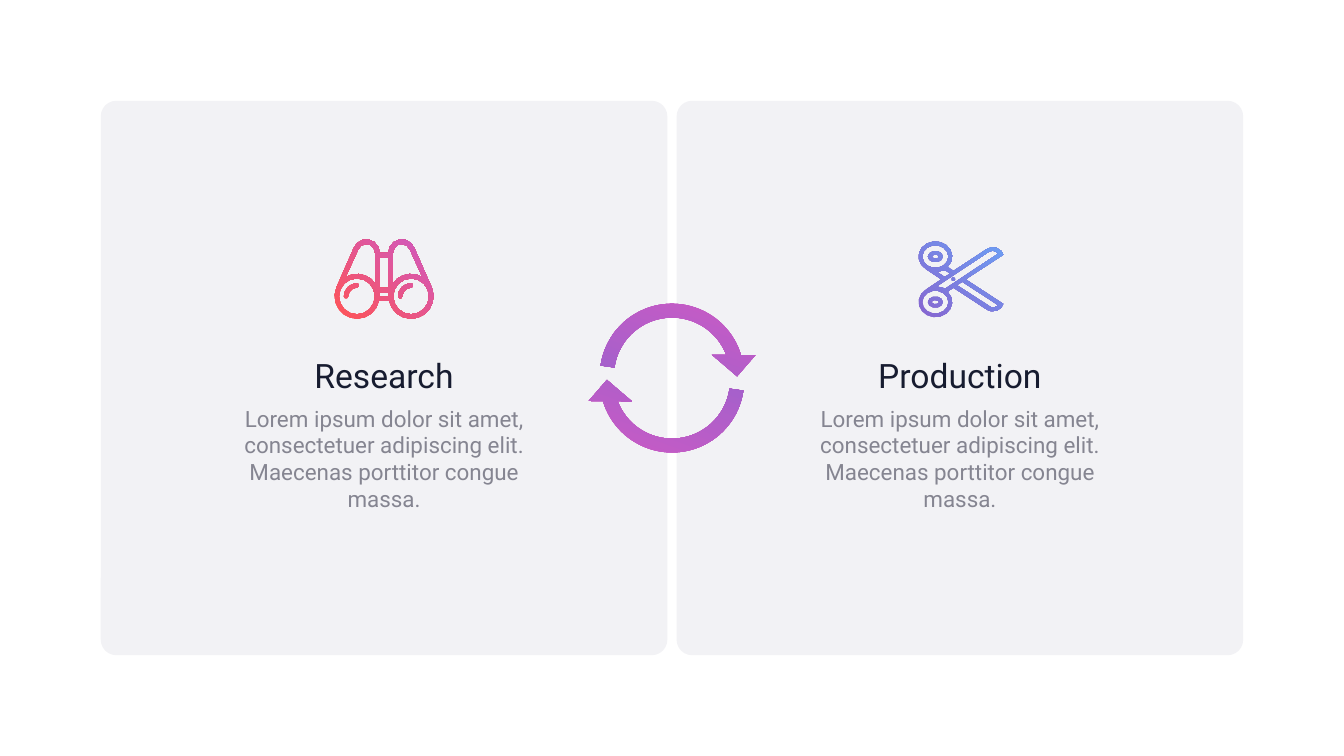
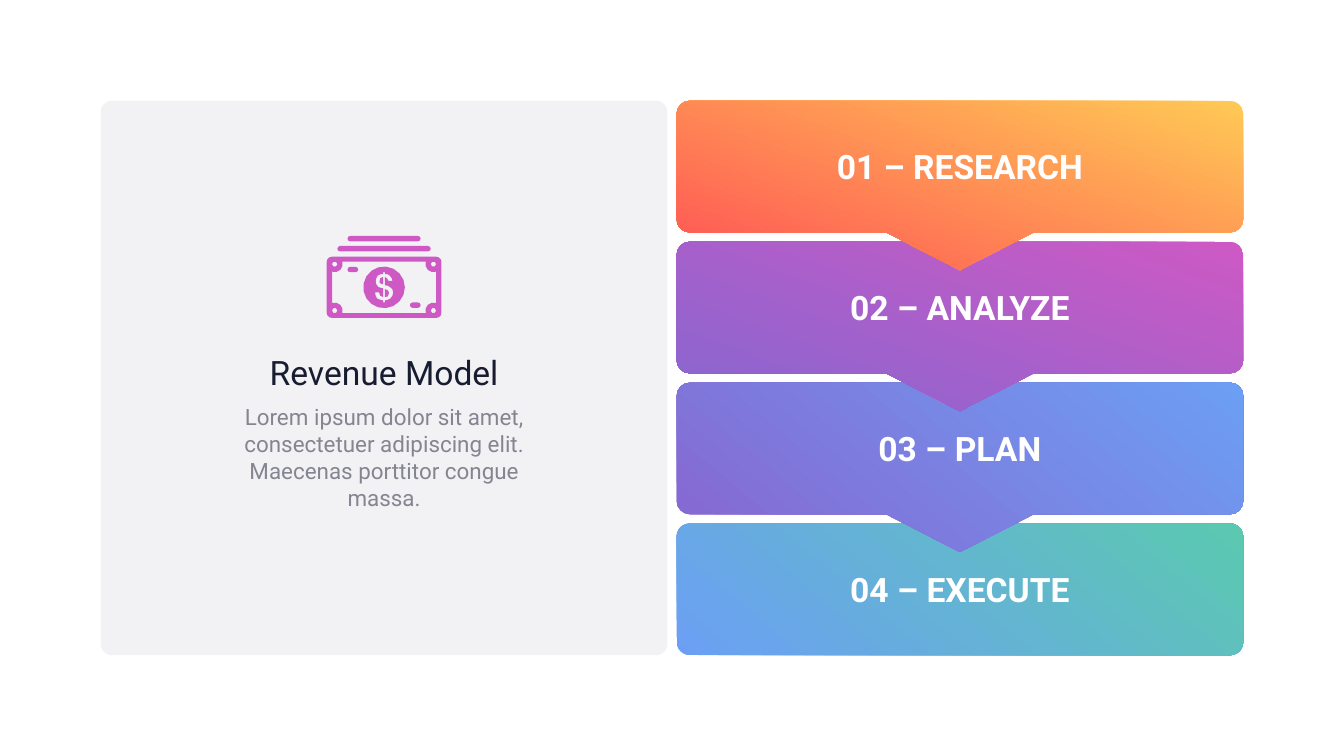
import math
from dataclasses import dataclass
from typing import NamedTuple

import pptx
import pptx.dml.color
import pptx.enum.shapes
import pptx.enum.text
import pptx.util

Pt = pptx.util.Pt
Shapes = pptx.enum.shapes.MSO_SHAPE
Point = tuple[float, float]
Contour = list[Point]


class Paint(NamedTuple):
    """One colour, or a gradient when an end colour is given; angle is counter-clockwise."""
    start: str
    end: str = ""
    angle: float = 50


@dataclass(frozen=True)
class Theme:
    font: str = "Roboto"
    heading_size: float = 36
    body_size: float = 24
    ink: str = "171C30"
    muted: str = "858591"
    white: str = "FFFFFF"
    panel: Paint = Paint("F2F2F5")
    coral: Paint = Paint("FF5355", "CE59C4")
    blue: Paint = Paint("8766D0", "6C9FF4")
    purple: Paint = Paint("CE59C4", "8766D0", 250)
    sunset: Paint = Paint("FFC955", "FF5355", 250)
    teal: Paint = Paint("6C9FF4", "5BC9B0")
    pink: Paint = Paint("CE59C4")


@dataclass(frozen=True)
class Card:
    heading: str
    left: float
    heading_top: float
    body_top: float
    icon: list[Contour]
    icon_left: float
    icon_top: float
    paint: Paint


class Step(NamedTuple):
    label: str
    paint: Paint


THEME = Theme()
SLIDE_WIDTH, SLIDE_HEIGHT = 1440, 810
MARGIN, GAP = 108, 10
PANEL_WIDTH = (SLIDE_WIDTH - 2 * MARGIN - GAP) / 2
PANEL_HEIGHT = SLIDE_HEIGHT - 2 * MARGIN
RIGHT_PANEL = MARGIN + PANEL_WIDTH + GAP
TEXT_WIDTH, HEADING_HEIGHT, BODY_HEIGHT = 330, 51, 124
CORNER = 14
TIP_WIDTH, TIP_HEIGHT = 158, 40.5
STEP_LABEL_OFFSET = 44.6
CURVE_TOLERANCE = 0.4
BODY = "Lorem ipsum dolor sit amet, consectetuer adipiscing elit. Maecenas porttitor congue massa."


def arc(x: float, y: float, rx: float, ry: float, start: float, end: float) -> Contour:
    """Points along an ellipse, as few as the tolerance allows; degrees grow clockwise."""
    stride = 2 * math.degrees(math.acos(1 - CURVE_TOLERANCE / max(rx, ry)))
    count = math.ceil(abs(end - start) / stride)
    angles = [math.radians(start + (end - start) * i / count) for i in range(count + 1)]
    return [(x + rx * math.cos(a), y + ry * math.sin(a)) for a in angles]


def ellipse(x: float, y: float, rx: float, ry: float) -> Contour:
    return arc(x, y, rx, ry, 0, 360)[:-1]


def rectangle(left: float, top: float, right: float, bottom: float) -> Contour:
    return [(left, top), (right, top), (right, bottom), (left, bottom)]


def rounded(left: float, top: float, right: float, bottom: float, radius: float) -> Contour:
    centres = rectangle(left + radius, top + radius, right - radius, bottom - radius)
    return [p for (x, y), start in zip(centres, (180, 270, 0, 90))
            for p in arc(x, y, radius, radius, start, start + 90)]


def flip_x(contour: Contour, axis: float) -> Contour:
    return [(2 * axis - x, y) for x, y in reversed(contour)]


def flip_y(contour: Contour, axis: float) -> Contour:
    return [(x, 2 * axis - y) for x, y in reversed(contour)]


def shift(contour: Contour, dx: float, dy: float) -> Contour:
    return [(x + dx, y + dy) for x, y in contour]


def binoculars() -> list[Contour]:
    axis, lens_x, lens_y, lens = 53, 24, 61, 24
    barrel_x, barrel_y = 34, 14.4
    half = (arc(lens_x, lens_y, lens, lens, 12, 203)
            + arc(barrel_x, barrel_y, 14.4, 14.4, 200, 360))
    barrel_hole = (arc(lens_x, lens_y, lens, lens, 240, 325)
                   + arc(barrel_x, barrel_y, 9.4, 9.4, 360, 200))
    lens_hole = ellipse(lens_x, lens_y, 19.2, 19.2)
    glint = (arc(lens_x, lens_y, 14, 14, 180, 270)
             + arc(lens_x, lens_y - 11.7, 2.3, 2.3, 270, 450)
             + arc(lens_x, lens_y, 9.4, 9.4, 270, 180)
             + arc(lens_x - 11.7, lens_y, 2.3, 2.3, 0, 180))
    return [half + flip_x(half, axis),
            barrel_hole, flip_x(barrel_hole, axis),
            lens_hole, flip_x(lens_hole, axis),
            glint, shift(glint, 2 * (axis - lens_x), 0),
            rectangle(48.2, 19.4, 57.6, 52), rectangle(48.2, 57, 57.6, 61)]


def scissors() -> list[Contour]:
    axis, x, y = 42.8, 20.2, 18.4
    half = ([(52.6, axis), (92.9, 16.5), (91, 12.5), (86, 9.2), (80, 8.6), (76, 10),
             (39.6, 33.8), (35.3, 31)]
            + arc(x, y, 18, 16.2, 43, -236) + [(26.6, axis)])
    handle_rings = [ellipse(x, y, rx, ry) for rx, ry in [(14, 12.2), (8, 6), (4, 2.2)]]
    return [half + flip_y(half, axis),
            *handle_rings, *(flip_y(ring, axis) for ring in handle_rings),
            [(21.6, 50.4), (77.8, 13), (81, 12.2), (84, 12.6), (87.8, 15.1), (31, 52.6)],
            [(87.8, 70.6), (84, 72.5), (80, 72.7), (43.2, 49), (49, 45.4)],
            [(21.6, 34.6), (31, 33.1), (36, 36.7), (30.2, 40.3)],
            ellipse(39.4, 42.6, 2, 2)]


def dollar_sign() -> list[Contour]:
    """Outline and two counters around (0, 0)."""
    outline = [(9, 9), (6.8, 11.9), (4, 13.3), (1, 14), (1, 16.2), (-1, 16.2), (-1, 14),
               (-4, 13.3), (-7.5, 11.9), (-9, 9), (-9.7, 5.4), (-5.4, 5.4), (-4, 9),
               (-1, 10.4), (-1, 1), (-4, 0.4), (-6.1, -0.4), (-8.3, -3.2), (-9, -6.8),
               (-8.3, -9.7), (-6.8, -12.6), (-4, -14), (-1, -14.2), (-1, -16.2), (1, -16.2),
               (1, -14.2), (4, -14), (6.1, -12.6), (8.3, -9.7), (9, -6.8), (4.7, -6.8),
               (3.2, -9.7), (1, -11.2), (1, -2.3), (4, -1.8), (6.8, 0), (9, 2), (9.7, 5.4)]
    lower = [(4, 3.2), (1, 1.8), (1, 10.4), (4, 9.7), (5.3, 6.1), (4.7, 4)]
    upper = [(-4.7, -6.8), (-4.7, -5), (-3.2, -4), (-1, -3.2), (-1, -11.2), (-4, -9.7)]
    return [outline, lower, upper]


def banknotes() -> list[Contour]:
    x, y = 61.5, 55.1
    notch = arc(8.6, 30.2, 8.6, 8.6, 109, -18)
    top_edge = notch + flip_x(notch, x)
    left_rivets = [ellipse(8.6, 30.2, 2.9, 2.9), ellipse(8.6, 80, 2.9, 2.9)]
    return [rounded(22.3, 0, 100.7, 5.8, 2.9), rounded(11.5, 10.8, 111.5, 16.6, 2.9),
            rounded(0, 22.3, 123, 87.8, 5.5), top_edge + flip_y(top_edge, y),
            *left_rivets, *(flip_x(rivet, x) for rivet in left_rivets),
            rounded(22.3, 33.1, 33.8, 38.9, 2.9), rounded(89.2, 71.3, 100.7, 77.1, 2.9),
            ellipse(x, y, 22.3, 22.3),
            *(shift(part, x, y) for part in dollar_sign())]


def rgb(value: str) -> pptx.dml.color.RGBColor:
    return pptx.dml.color.RGBColor.from_string(value)


def apply_paint(shape, paint: Paint) -> None:
    shape.shadow.inherit = False
    shape.line.fill.background()
    if not paint.end:
        shape.fill.solid()
        shape.fill.fore_color.rgb = rgb(paint.start)
        return
    shape.fill.gradient()
    shape.fill.gradient_angle = paint.angle
    for stop, colour in zip(shape.fill.gradient_stops, (paint.start, paint.end)):
        stop.color.rgb = rgb(colour)


def draw_contours(slide, contours: list[Contour], left: float, top: float, paint: Paint) -> None:
    """Draw one shape; contours inside others cut holes."""
    placed = [[(Pt(x), Pt(y)) for x, y in shift(contour, left, top)] for contour in contours]
    builder = slide.shapes.build_freeform(*placed[0][0], scale=1.0)
    for index, contour in enumerate(placed):
        if index:
            builder.move_to(*contour[0])
        builder.add_line_segments(contour[1:], close=True)
    apply_paint(builder.convert_to_shape(), paint)


def draw_shape(slide, kind, left: float, top: float, width: float, height: float,
               paint: Paint, *adjustments: float):
    shape = slide.shapes.add_shape(kind, Pt(left), Pt(top), Pt(width), Pt(height))
    for index, value in enumerate(adjustments):
        shape.adjustments[index] = value
    apply_paint(shape, paint)
    return shape


def draw_text(slide, text: str, panel_left: float, top: float, height: float,
              size: float, colour: str, bold: bool = False) -> None:
    """Write centred text in the middle of a panel."""
    left = panel_left + (PANEL_WIDTH - TEXT_WIDTH) / 2
    box = slide.shapes.add_textbox(Pt(left), Pt(top), Pt(TEXT_WIDTH), Pt(height))
    box.text_frame.word_wrap = True
    box.text_frame.auto_size = pptx.enum.text.MSO_AUTO_SIZE.SHAPE_TO_FIT_TEXT
    para = box.text_frame.paragraphs[0]
    para.alignment = pptx.enum.text.PP_ALIGN.CENTER
    span = para.add_run()
    span.text = text
    span.font.name = THEME.font
    span.font.size = Pt(size)
    span.font.bold = bold
    span.font.color.rgb = rgb(colour)


def draw_card(slide, card: Card, rounding: float) -> None:
    draw_shape(slide, Shapes.ROUNDED_RECTANGLE, card.left, MARGIN, PANEL_WIDTH, PANEL_HEIGHT,
               THEME.panel, rounding)
    draw_text(slide, card.heading, card.left, card.heading_top, HEADING_HEIGHT,
              THEME.heading_size, THEME.ink)
    draw_text(slide, BODY, card.left, card.body_top, BODY_HEIGHT, THEME.body_size, THEME.muted)
    draw_contours(slide, card.icon, card.icon_left, card.icon_top, card.paint)


def draw_steps(slide, steps: list[Step]) -> None:
    """Stack the steps from the last up, so each tip lies over the step below."""
    height = (PANEL_HEIGHT - GAP * (len(steps) - 1)) / len(steps)
    middle = PANEL_WIDTH / 2
    body = rounded(0, 0, PANEL_WIDTH, height, CORNER)
    tip_index = len(body) * 3 // 4
    tip = [(middle + TIP_WIDTH / 2, height), (middle, height + TIP_HEIGHT),
           (middle - TIP_WIDTH / 2, height)]
    with_tip = body[:tip_index] + tip + body[tip_index:]
    tops = [MARGIN + index * (height + GAP) for index in range(len(steps))]
    for top, step in reversed(list(zip(tops, steps))):
        if step is steps[-1]:
            draw_shape(slide, Shapes.ROUNDED_RECTANGLE, RIGHT_PANEL, top, PANEL_WIDTH, height,
                       step.paint, CORNER / height)
        else:
            draw_contours(slide, [with_tip], RIGHT_PANEL, top, step.paint)
    for top, step in zip(tops, steps):
        draw_text(slide, step.label, RIGHT_PANEL, top + STEP_LABEL_OFFSET, HEADING_HEIGHT,
                  THEME.heading_size, THEME.white, bold=True)


def add_cycle_slide(deck) -> None:
    slide = deck.slides.add_slide(deck.slide_layouts[6])
    cards = [Card("Research", MARGIN, 376.6, 430, binoculars(), 358.5, 256.5, THEME.coral),
             Card("Production", RIGHT_PANEL, 376.6, 430, scissors(), 982, 256.5, THEME.blue)]
    for card in cards:
        draw_card(slide, card, rounding=0.028)
    size = 186
    for top, rotation in [(314.6, 180), (309.6, 0)]:
        arrow = draw_shape(slide, Shapes.CIRCULAR_ARROW, (SLIDE_WIDTH - size) / 2, top, size, size,
                           THEME.purple, 0.08, 11.42, 204.86, 112.87, 0.125)
        arrow.rotation = rotation


def add_revenue_slide(deck) -> None:
    slide = deck.slides.add_slide(deck.slide_layouts[6])
    draw_steps(slide, [Step("01 – RESEARCH", THEME.sunset), Step("02 – ANALYZE", THEME.purple),
                       Step("03 – PLAN", THEME.blue), Step("04 – EXECUTE", THEME.teal)])
    draw_card(slide, Card("Revenue Model", MARGIN, 373, 428.5, banknotes(), 350, 252.8,
                          THEME.pink), rounding=0.02)


def main() -> None:
    deck = pptx.Presentation()
    deck.slide_width, deck.slide_height = Pt(SLIDE_WIDTH), Pt(SLIDE_HEIGHT)
    add_cycle_slide(deck)
    add_revenue_slide(deck)
    deck.save("out.pptx")


if __name__ == "__main__":
    main()
